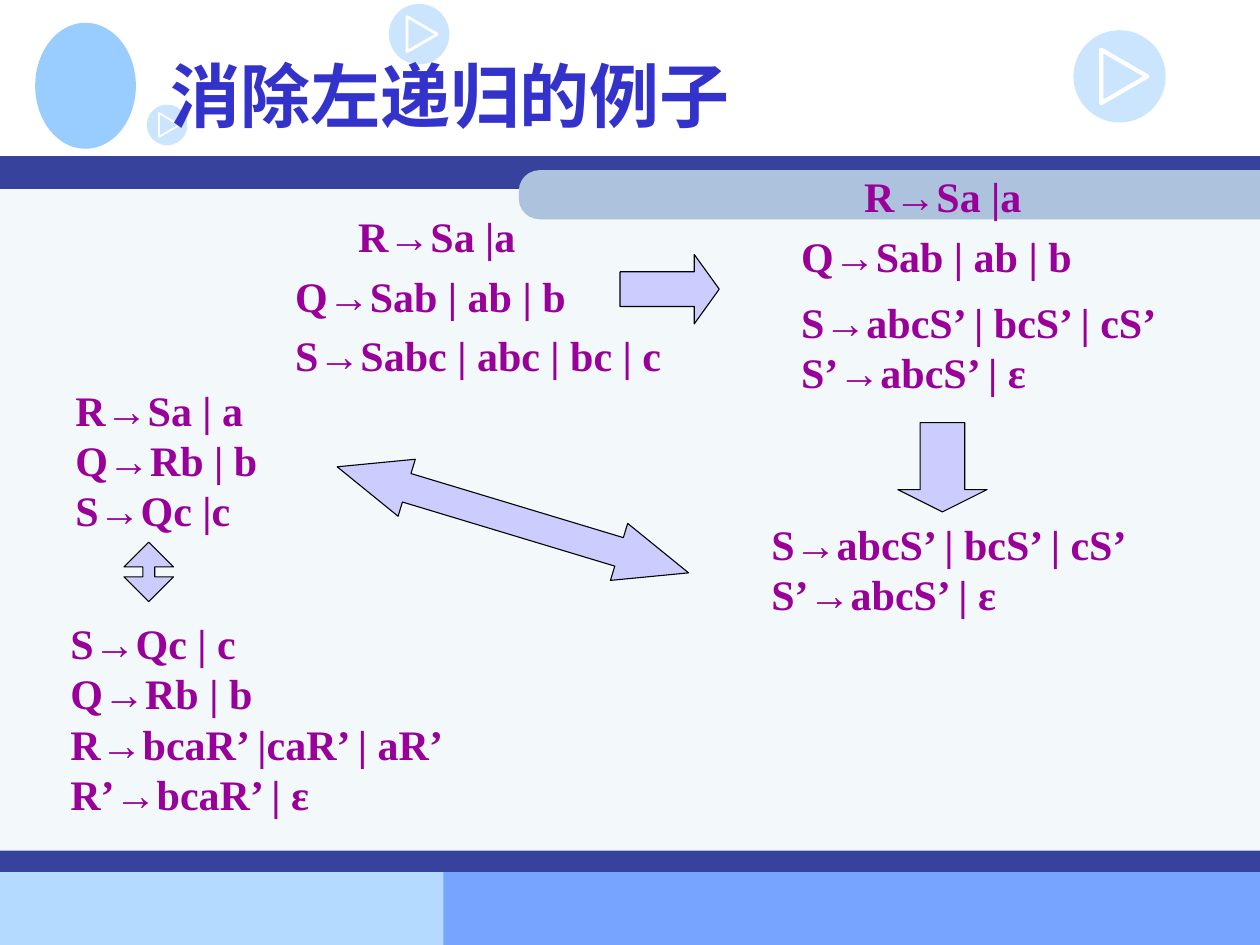
"""Build the slide that works through an example of eliminating left recursion."""
from dataclasses import dataclass

from lxml import etree
from pptx import Presentation
from pptx import util as u
from pptx.dml.color import RGBColor
from pptx.enum import shapes, text
from pptx.oxml.ns import qn


@dataclass(frozen=True)
class Theme:
    title_font: str = "Noto Sans CJK SC"
    rule_font: str = "Times New Roman"
    title_size: float = 40
    rule_size: float = 24
    rule_leading: float = 28.8
    title: str = "3333CC"
    rule: str = "990099"
    arrow: str = "CCCCFF"
    outline: str = "000000"
    navy: str = "36429B"
    panel: str = "F3F8FB"
    pill: str = "ADC3DD"
    footer_light: str = "B5DAFF"
    footer_blue: str = "77A4FF"
    emblem: str = "99CCFF"
    badge: str = "CCE5FF"
    white: str = "FFFFFF"


THEME = Theme()
KIND = shapes.MSO_SHAPE
WIDTH, HEIGHT = 25.4, 19.05

TITLE = "消除左递归的例子"
TITLE_BOX = (3.18, 0.43, 21.59, 2.97)

BANDS = [
    ((0, 17.58, 10.8, 1.47), THEME.footer_light),
    ((8.94, 17.55, 16.46, 1.5), THEME.footer_blue),
    ((0, 3.56, WIDTH, 14), THEME.panel),
    ((0, 3.15, WIDTH, 0.66), THEME.navy),
    ((0, 17.15, WIDTH, 0.43), THEME.navy),
]
PILL = (10.46, 3.43, 14.94, 0.99)
EMBLEM = (0.71, 0.46, 2.03, 2.54)
BADGES = [(7.84, 0.08, 1.22), (21.64, 0.61, 1.86), (2.96, 2.11, 0.82)]

SOLVED = ["S→abcS’ | bcS’ | cS’", "S’→abcS’ | ε"]
GRAMMARS = [
    ((0, 7.62, 6.3, 3.3), 1, ["R→Sa | a", "Q→Rb | b", "S→Qc |c"]),
    ((5.7, 4.11, 5.2, 1.27), 1, ["R→Sa |a"]),
    ((5.7, 5.32, 7, 1.27), 0, ["Q→Sab | ab | b"]),
    ((5.7, 6.52, 9, 1.27), 0, ["S→Sabc | abc | bc | c"]),
    ((15.9, 5.85, 9, 2.29), 0, SOLVED),
    ((15.9, 3.32, 5.2, 1.27), 1, ["R→Sa |a"]),
    ((15.9, 4.53, 7, 1.27), 0, ["Q→Sab | ab | b"]),
    ((15.3, 10.32, 9, 2.29), 0, SOLVED),
    ((-0.1, 12.32, 11, 4.32), 1,
     ["S→Qc | c", "Q→Rb | b", "R→bcaR’ |caR’ | aR’", "R’→bcaR’ | ε"]),
]
ARROWS = [
    (KIND.RIGHT_ARROW, (12.5, 5.13, 2, 1.4), 0.36, 0),
    (KIND.DOWN_ARROW, (18.1, 8.52, 1.8, 1.8), 0.25, 0),
    (KIND.LEFT_RIGHT_ARROW, (6.64, 9.88, 7.4, 1.2), 1.22, 16.8),
    (KIND.UP_DOWN_ARROW, (2.5, 10.93, 1, 1.2), 0.24, 0),
]


def lengths(box):
    return [u.Cm(value) for value in box]


def write(frame, lines, *, font, size, color, level=0, leading=None,
          anchor=text.MSO_ANCHOR.TOP, fit=text.MSO_AUTO_SIZE.SHAPE_TO_FIT_TEXT):
    frame.word_wrap, frame.auto_size, frame.vertical_anchor = True, fit, anchor
    for index, line in enumerate(lines):
        para = frame.add_paragraph() if index else frame.paragraphs[0]
        para.alignment, para.level = text.PP_ALIGN.LEFT, level
        if leading:
            para.line_spacing = u.Pt(leading)
        layout = para._p.get_or_add_pPr()
        layout.set("marL", str(u.Cm(1.27 * level)))
        layout.set("indent", "0")
        run = para.add_run()
        run.text = line
        run.font.name, run.font.size, run.font.bold = font, u.Pt(size), True
        run.font.color.rgb = RGBColor.from_string(color)
        east_asian = etree.SubElement(run._r.get_or_add_rPr(), qn("a:ea"))
        east_asian.set("typeface", font)


def draw(slide, kind, box, *, fill=None, line=None, weight=0.62, adjust=(), turn=0):
    part = slide.shapes.add_shape(kind, *lengths(box))
    part.shadow.inherit = False
    part.rotation = turn
    for index, value in enumerate(adjust):
        part.adjustments[index] = value
    if fill:
        part.fill.solid()
        part.fill.fore_color.rgb = RGBColor.from_string(fill)
    else:
        part.fill.background()
    if line:
        part.line.color.rgb = RGBColor.from_string(line)
        part.line.width = u.Pt(weight)
    else:
        part.line.fill.background()


def draw_badge(slide, left, top, size):
    draw(slide, KIND.OVAL, (left, top, size, size), fill=THEME.badge)
    base, depth = 0.58 * size, 0.5 * size
    corner = (left + 0.55 * size - base / 2, top + (size - depth) / 2)
    draw(slide, KIND.ISOSCELES_TRIANGLE, (*corner, base, depth),
         line=THEME.white, weight=round(1.3 * size, 2), turn=90)


def draw_pill(slide, left, top, width, height):
    upright = (left + (width - height) / 2, top + (height - width) / 2, height, width)
    draw(slide, KIND.ROUND_2_SAME_RECTANGLE, upright, fill=THEME.pill,
         adjust=(0.42, 0), turn=270)


def main():
    deck = Presentation()
    deck.slide_width, deck.slide_height = lengths((WIDTH, HEIGHT))
    slide = deck.slides.add_slide(deck.slide_layouts[5])

    for box, color in BANDS:
        draw(slide, KIND.RECTANGLE, box, fill=color)
    draw_pill(slide, *PILL)
    draw(slide, KIND.OVAL, EMBLEM, fill=THEME.emblem)
    for badge in BADGES:
        draw_badge(slide, *badge)

    title = slide.shapes.title
    title.left, title.top, title.width, title.height = lengths(TITLE_BOX)
    write(title.text_frame, [TITLE], font=THEME.title_font, size=THEME.title_size,
          color=THEME.title, anchor=text.MSO_ANCHOR.MIDDLE, fit=text.MSO_AUTO_SIZE.NONE)
    title.element.getparent().append(title.element)

    for box, level, rules in GRAMMARS:
        grammar = slide.shapes.add_textbox(*lengths(box))
        write(grammar.text_frame, rules, font=THEME.rule_font, size=THEME.rule_size,
              color=THEME.rule, level=level, leading=THEME.rule_leading)
    for kind, box, head, turn in ARROWS:
        draw(slide, kind, box, fill=THEME.arrow, line=THEME.outline,
             adjust=(0.5, head), turn=turn)

    deck.save("out.pptx")


if __name__ == "__main__":
    main()
